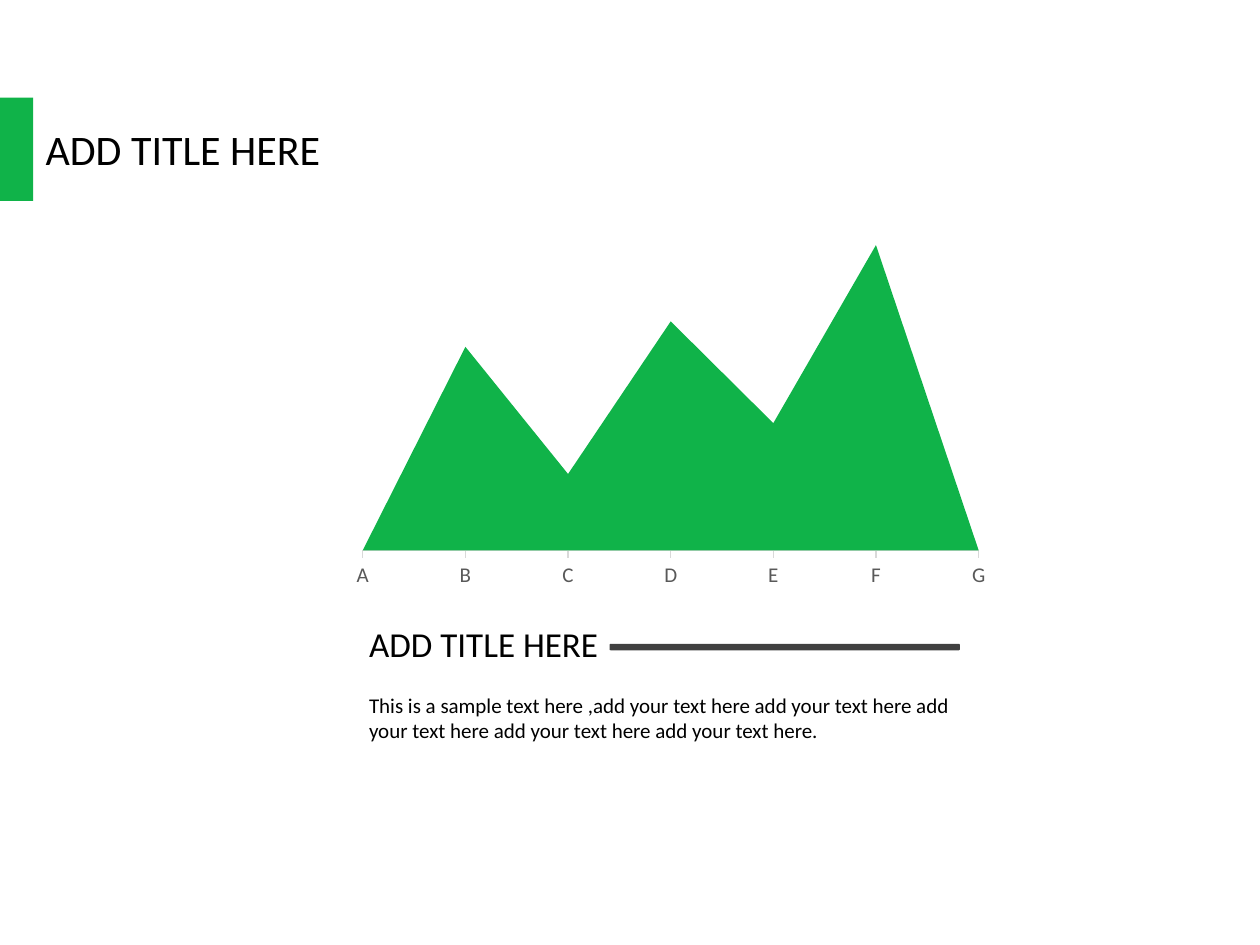
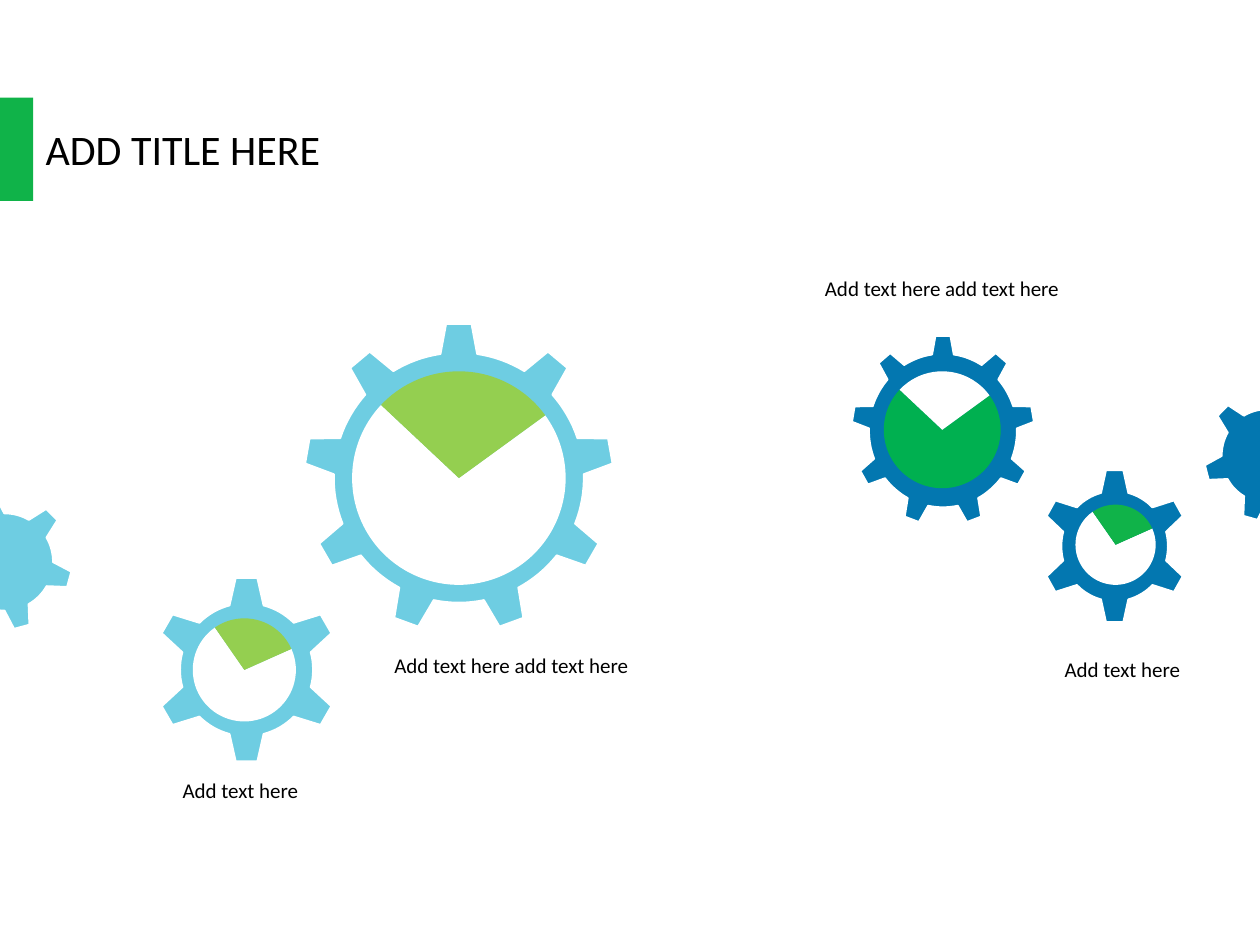
from math import cos, radians, sin
from pptx import Presentation
from pptx.chart.data import CategoryChartData
from pptx.dml.color import RGBColor
from pptx.enum.chart import XL_CHART_TYPE, XL_TICK_LABEL_POSITION, XL_TICK_MARK
from pptx.enum.shapes import MSO_SHAPE
from pptx.oxml import parse_xml
from pptx.oxml.ns import nsdecls
from pptx.util import Cm, Pt

GREEN = RGBColor(0x10, 0xB3, 0x49)
DEEP_GREEN = RGBColor(0x00, 0xB0, 0x50)
LIME = RGBColor(0x94, 0xCF, 0x50)
SKY = RGBColor(0x6E, 0xCD, 0xE2)
BLUE = RGBColor(0x03, 0x77, 0xB0)
DARK = RGBColor(0x40, 0x40, 0x40)
GREY = RGBColor(0x59, 0x59, 0x59)
LIGHT = RGBColor(0xD9, 0xD9, 0xD9)
BLACK = RGBColor(0, 0, 0)
WHITE = RGBColor(255, 255, 255)
FONT = "Calibri"


def add_text(s, text, x, y, w, h, size, wrap=False):
    tf = s.shapes.add_textbox(Cm(x), Cm(y), Cm(w), Cm(h)).text_frame
    tf.word_wrap = wrap
    p = tf.paragraphs[0]
    p.text = text
    p.font.name = FONT
    p.font.size = Pt(size)
    p.font.color.rgb = BLACK


def add_chart(s, kind, cats, vals, box, layout):
    data = CategoryChartData()
    data.categories = cats
    data.add_series("Series 1", vals)
    chart = s.shapes.add_chart(kind, *[Cm(v) for v in box], data).chart
    chart.has_legend = False
    chart.has_title = False
    chart.font.name = FONT
    chart.font.size = Pt(10)
    chart.font.color.rgb = BLACK
    area = chart._chartSpace.xpath("c:chart/c:plotArea")[0]
    for old in area.xpath("c:layout"):
        area.remove(old)
    parts = "".join(f'<c:{k} val="{v:.3f}"/>' for k, v in zip("xywh", layout))
    area.insert(0, parse_xml(
        f'<c:layout {nsdecls("c")}><c:manualLayout><c:layoutTarget val="inner"/>'
        f'<c:xMode val="edge"/><c:yMode val="edge"/>{parts}'
        '</c:manualLayout></c:layout>'))
    return chart


prs = Presentation()
prs.slide_width = Cm(25.4)
prs.slide_height = Cm(19.05)

slides = []
for _ in range(2):
    s = prs.slides.add_slide(prs.slide_layouts[6])
    band = s.shapes.add_shape(MSO_SHAPE.RECTANGLE, 0, Cm(1.97), Cm(0.67), Cm(2.08))
    band.shadow.inherit = False
    band.fill.solid()
    band.fill.fore_color.rgb = GREEN
    band.line.fill.background()
    add_text(s, "ADD TITLE HERE", 0.67, 2.37, 6.53, 1.28, 24)
    slides.append(s)

s = slides[0]
chart = add_chart(s, XL_CHART_TYPE.AREA, "ABCDEFG", (40, 80, 55, 85, 65, 100, 40),
                  (6.93, 3.23, 13.21, 8.81), (0.029, 0.078, 0.94, 0.815))
fill = chart.plots[0].series[0].format.fill
fill.solid()
fill.fore_color.rgb = GREEN
cat = chart.category_axis
cat.has_major_gridlines = False
cat.major_tick_mark = XL_TICK_MARK.OUTSIDE
cat.tick_labels.font.name = FONT
cat.tick_labels.font.size = Pt(12)
cat.tick_labels.font.color.rgb = GREY
cat.format.line.color.rgb = LIGHT
cat.format.line.width = Pt(0.75)
val = chart.value_axis
val.has_major_gridlines = False
val.minimum_scale = 40
val.maximum_scale = 110
val.major_tick_mark = XL_TICK_MARK.NONE
val.tick_label_position = XL_TICK_LABEL_POSITION.NONE
val.format.line.fill.background()
for cross in chart._chartSpace.xpath("//c:valAx/c:crossBetween"):
    cross.set("val", "midCat")

add_text(s, "This is a sample text here ,add your text here add your text here "
         "add your text here add your text here add your text here.",
         7.19, 13.84, 12.88, 1.28, 12, True)
add_text(s, "ADD TITLE HERE", 7.19, 12.42, 6.45, 1.11, 20)
rule = s.shapes.add_shape(MSO_SHAPE.ROUNDED_RECTANGLE, Cm(12.29), Cm(12.98), Cm(7.06), Cm(0.13))
rule.shadow.inherit = False
rule.fill.solid()
rule.fill.fore_color.rgb = DARK
rule.line.fill.background()

s = slides[1]
NINE = (9, 0.81, 8.4, 4.7)
SIX = (6, 0.72, 14.8, 6.7)
gears = [
    (9.25, 9.63, 3.11, 3.11, 0, NINE, SKY),
    (4.97, 13.5, 1.86, 1.86, 0, SIX, SKY),
    (0.09, 11.33, 1.36, 1.36, 45, SIX, SKY),
    (19.01, 8.68, 1.84, 1.91, 0, NINE, BLUE),
    (22.47, 11.01, 1.49, 1.54, 0, SIX, BLUE),
    (25.53, 9.19, 1.25, 1.3, -45, SIX, BLUE),
]
for cx, cy, rx, ry, turn, (teeth, root, base, tip), color in gears:
    step = 360 / teeth
    points = []
    for i in range(teeth):
        a = turn + i * step
        polar = [(a - base, root), (a - tip, 1), (a + tip, 1)]
        gap = step - 2 * base
        polar += [(a + base + gap * k / 8, root) for k in range(8)]
        points += [(Cm(cx + rx * r * sin(radians(t))), Cm(cy - ry * r * cos(radians(t))))
                   for t, r in polar]
    builder = s.shapes.build_freeform(*points[0])
    builder.add_line_segments(points[1:], close=True)
    gear = builder.convert_to_shape()
    gear.shadow.inherit = False
    gear.fill.solid()
    gear.fill.fore_color.rgb = color
    gear.line.color.rgb = WHITE
    gear.line.width = Pt(1)

pies = [
    (2.84, 12.12, 4.17, 2.77, 66, WHITE, LIME),
    (20.75, 9.83, 3.48, 2.31, 66, WHITE, GREEN),
    (5.51, 7.14, 7.49, 5, 54, WHITE, LIME),
    (16.71, 7.14, 4.57, 3.05, 54, DEEP_GREEN, WHITE),
]
for x, y, w, h, start, *colors in pies:
    d = h - 0.69
    chart = add_chart(s, XL_CHART_TYPE.PIE, ("1", "2"), (72, 28), (x, y, w, h),
                      ((1 - d / w) / 2, (1 - d / h) / 2, d / w, d / h))
    plot = chart.plots[0]
    plot.vary_by_categories = True
    for i, color in enumerate(colors):
        fmt = plot.series[0].points[i].format
        fmt.fill.solid()
        fmt.fill.fore_color.rgb = color
        fmt.line.fill.background()
    pie = chart._chartSpace.xpath("//c:pieChart")[0]
    for old in pie.xpath("c:firstSliceAng"):
        pie.remove(old)
    pie.append(parse_xml(f'<c:firstSliceAng {nsdecls("c")} val="{start}"/>'))

for text, x, y, w in [
    ("Add text here add text here", 7.7, 13.03, 5.23),
    ("Add text here", 3.43, 15.54, 3.07),
    ("Add text here add text here", 16.38, 5.44, 5.23),
    ("Add text here", 21.21, 13.11, 3.07),
]:
    add_text(s, text, x, y, w, 0.76, 12)

prs.save("out.pptx")
